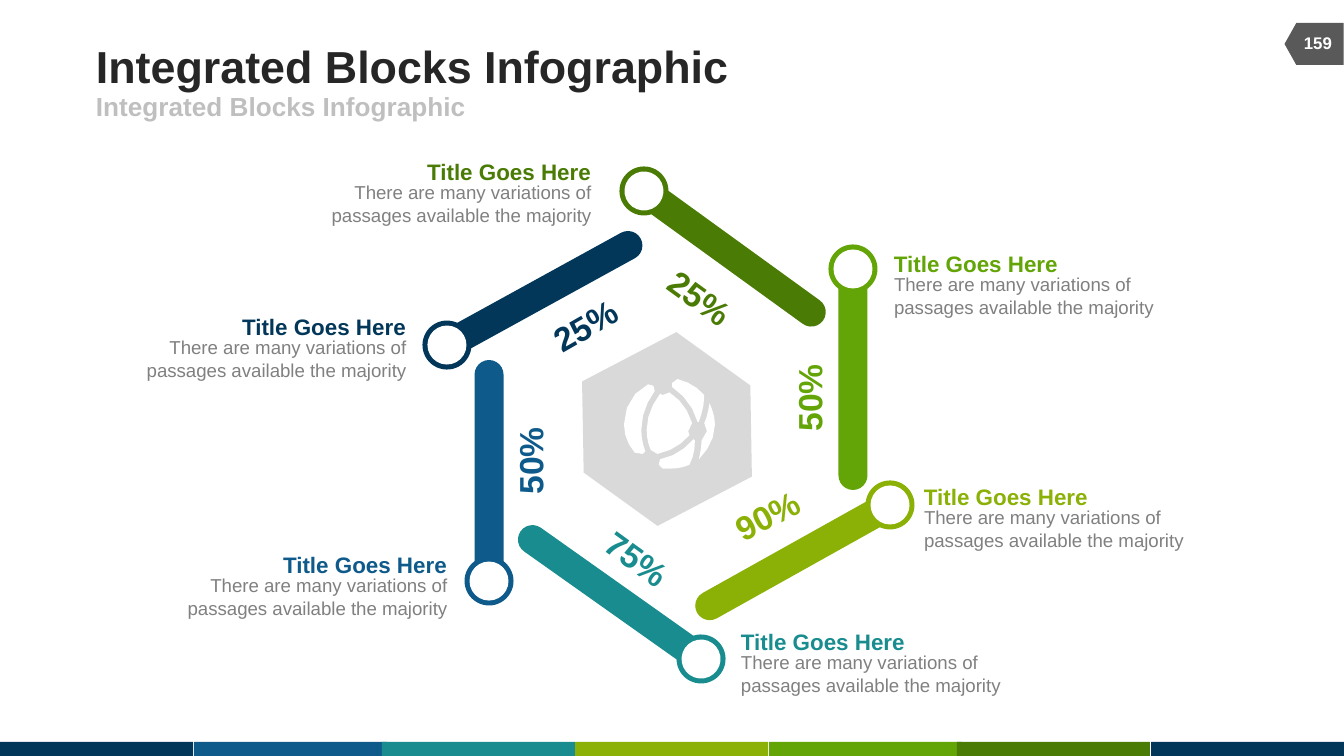
from math import cos, dist, radians, sin

from pptx import Presentation
from pptx.dml.color import RGBColor
from pptx.enum.shapes import MSO_SHAPE
from pptx.enum.text import MSO_ANCHOR, PP_ALIGN
from pptx.util import Pt

PX = 914400 / 134.4
FONT = "Arial"
WHITE, GREY = "FFFFFF", "808080"
NAVY, BLUE, TEAL = "023759", "0E5A8B", "198C8F"
LIME, GREEN, FOREST = "8BB106", "63A406", "4A7B04"

HEADING = "Integrated Blocks Infographic"
SUBHEADING = "Integrated Blocks Infographic"
PAGE_NUMBER = "159"
CAPTION_TITLE = "Title Goes Here"
CAPTION_BODY = "There are many variations of passages available the majority"

STRIPES = [(0, NAVY), (194, BLUE), (382, TEAL), (575, LIME),
           (769, GREEN), (957, FOREST), (1151, NAVY)]
STRIPE_WIDTH = 193

BLOCKS = [
    dict(color=NAVY, knob=(447, 345), angle=241.2, side="left", caption=(406, 313),
         percent="25%", percent_center=(585, 325), percent_angle=330.1),
    dict(color=BLUE, knob=(489, 581), angle=180, side="left", caption=(447, 551),
         percent="50%", percent_center=(530, 461), percent_angle=270),
    dict(color=TEAL, knob=(701, 659), angle=125.3, side="right", caption=(741, 628),
         percent="75%", percent_center=(637, 558), percent_angle=36),
    dict(color=LIME, knob=(890, 505), angle=60.8, side="right", caption=(924, 483),
         percent="90%", percent_center=(767, 515), percent_angle=332.6),
    dict(color=GREEN, knob=(853, 269), angle=0, side="right", caption=(894, 250),
         percent="50%", percent_center=(809, 398), percent_angle=270),
    dict(color=FOREST, knob=(644, 191), angle=305.9, side="left", caption=(591, 158),
         percent="25%", percent_center=(700, 297), percent_angle=36),
]
BAR_WIDTH, BAR_LENGTH, BAR_OFFSET = 29, 228, 107
KNOB_SIZE, HOLE_SIZE = 49, 39

GLOBE_LEFT, GLOBE_TOP, GLOBE_WIDTH, GLOBE_UNITS = 624, 379, 91, 68
GLOBE_PIECES = [
    ((51, 33), [(49, 34, 48, 36, 48, 39), (48, 40, 48, 41, 49, 42),
                (43, 49, 35, 54, 25, 56), (24, 54, 22, 53, 20, 53),
                (18, 48, 17, 44, 17, 38), (17, 28, 21, 19, 27, 11),
                (27, 12, 28, 12, 29, 12), (31, 12, 32, 11, 34, 10),
                (42, 15, 48, 23, 51, 33)]),
    ((36, 5), [(36, 5, 36, 6, 36, 6), (45, 12, 52, 21, 55, 32),
               (56, 32, 56, 32, 56, 32), (58, 26, 60, 20, 60, 13),
               (60, 13, 60, 12, 60, 12), (55, 6, 48, 2, 40, 0),
               (38, 1, 37, 2, 36, 3), (36, 4, 36, 4, 36, 5)]),
    ((16, 54), [(14, 49, 13, 44, 13, 38), (13, 27, 17, 17, 23, 9),
                (22, 8, 22, 6, 22, 5), (20, 4, 19, 4, 18, 4),
                (7, 9, 0, 21, 0, 34), (0, 42, 3, 49, 8, 55),
                (10, 56, 12, 56, 14, 56), (14, 55, 15, 55, 16, 54)]),
    ((64, 18), [(63, 24, 62, 29, 60, 33), (62, 35, 62, 36, 62, 39),
                (62, 42, 60, 44, 58, 46), (58, 51, 57, 55, 56, 60),
                (63, 53, 68, 44, 68, 34), (68, 28, 66, 23, 64, 18)]),
    ((52, 45), [(45, 53, 37, 58, 27, 60), (27, 62, 27, 63, 26, 64),
                (27, 65, 28, 66, 29, 67), (31, 67, 32, 67, 34, 67),
                (40, 67, 45, 66, 49, 64), (52, 58, 53, 53, 53, 46),
                (53, 46, 53, 45, 52, 45)]),
]
SHORT_CURVE, LONG_CURVE_STEPS = 10, 3


def emu(*lengths):
    return [round(length * PX) for length in lengths]


def rgb(color):
    return RGBColor.from_string(color)


def paint(shape, color):
    shape.shadow.inherit = False
    shape.fill.solid()
    shape.fill.fore_color.rgb = rgb(color)
    shape.line.fill.background()


def add_block(kind, left, top, width, height, color, angle=0):
    shape = shapes.add_shape(kind, *emu(left, top, width, height))
    shape.rotation = angle
    paint(shape, color)
    return shape


def add_centered(kind, center, width, height, color, angle=0):
    x, y = center
    return add_block(kind, x - width / 2, y - height / 2, width, height, color, angle)


def add_text(text, left, top, width, height, size, color, bold=True, wrap=True,
             align=PP_ALIGN.LEFT, anchor=MSO_ANCHOR.MIDDLE, angle=0):
    box = shapes.add_textbox(*emu(left, top, width, height))
    box.rotation = angle
    frame = box.text_frame
    frame.margin_left = frame.margin_top = frame.margin_right = frame.margin_bottom = 0
    frame.word_wrap = wrap
    frame.vertical_anchor = anchor
    paragraph = frame.paragraphs[0]
    paragraph.text = text
    paragraph.alignment = align
    paragraph.font.name = FONT
    paragraph.font.size = Pt(size)
    paragraph.font.bold = bold
    paragraph.font.color.rgb = rgb(color)


def add_bar(block):
    x, y = block["knob"]
    angle, color = block["angle"], block["color"]
    center = (x - BAR_OFFSET * sin(radians(angle)), y + BAR_OFFSET * cos(radians(angle)))
    bar = add_centered(MSO_SHAPE.ROUNDED_RECTANGLE, center, BAR_WIDTH, BAR_LENGTH, color, angle)
    bar.adjustments[0] = 0.5
    add_centered(MSO_SHAPE.OVAL, (x, y), KNOB_SIZE, KNOB_SIZE, color, angle)
    add_centered(MSO_SHAPE.OVAL, (x, y), HOLE_SIZE, HOLE_SIZE, WHITE, angle)


def add_caption(block):
    edge, top = block["caption"]
    on_left = block["side"] == "left"
    align = PP_ALIGN.RIGHT if on_left else PP_ALIGN.LEFT
    for text, offset, width, height, size, color, bold in [
        (CAPTION_BODY, 23, 273, 46, 10, GREY, False),
        (CAPTION_TITLE, 0, 211, 27, 12, block["color"], True),
    ]:
        left = edge - width if on_left else edge
        add_text(text, left, top + offset, width, height, size, color, bold,
                 align=align, anchor=MSO_ANCHOR.TOP)


def add_percent(block):
    x, y = block["percent_center"]
    add_text(block["percent"], x - 34, y - 20, 68, 40, 18, block["color"], wrap=False,
             align=PP_ALIGN.CENTER, angle=block["percent_angle"])


def globe_point(x, y):
    unit = GLOBE_WIDTH / GLOBE_UNITS
    return tuple(emu(GLOBE_LEFT + x * unit, GLOBE_TOP + y * unit))


def curve_points(start, curve):
    points = [start, curve[:2], curve[2:4], curve[4:]]
    steps = 1 if dist(start, curve[4:]) < SHORT_CURVE else LONG_CURVE_STEPS
    for step in range(1, steps + 1):
        t = step / steps
        weights = [(1 - t) ** 3, 3 * t * (1 - t) ** 2, 3 * t ** 2 * (1 - t), t ** 3]
        yield globe_point(*(sum(w * point[axis] for w, point in zip(weights, points))
                            for axis in (0, 1)))


def add_globe():
    builder = shapes.build_freeform(*globe_point(*GLOBE_PIECES[0][0]))
    for index, (start, curves) in enumerate(GLOBE_PIECES):
        if index:
            builder.move_to(*globe_point(*start))
        outline = []
        for curve in curves:
            outline.extend(curve_points(start, curve))
            start = curve[4:]
        builder.add_line_segments(outline[:-1], close=True)
    paint(builder.convert_to_shape(), WHITE)


presentation = Presentation()
presentation.slide_width, presentation.slide_height = emu(1344, 756)
slide = presentation.slides.add_slide(presentation.slide_layouts[6])
shapes = slide.shapes

for left, color in STRIPES:
    add_block(MSO_SHAPE.RECTANGLE, left, 742, STRIPE_WIDTH, 14, color)
add_centered(MSO_SHAPE.FLOWCHART_OFFPAGE_CONNECTOR, (1314, 44), 42, 59, "595959", 90)
add_text(HEADING, 96, 40, 829, 52, 24, "262626")
add_text(SUBHEADING, 96, 91, 605, 30, 14, "BFBFBF")
add_text(PAGE_NUMBER, 1290, 23, 56, 40, 9, WHITE, align=PP_ALIGN.CENTER)

add_centered(MSO_SHAPE.HEXAGON, (667, 429), 188, 163, "D9D9D9", 332.4)
for block in BLOCKS:
    add_bar(block)
for block in BLOCKS:
    add_caption(block)
add_globe()
for block in BLOCKS:
    add_percent(block)

presentation.save("out.pptx")
